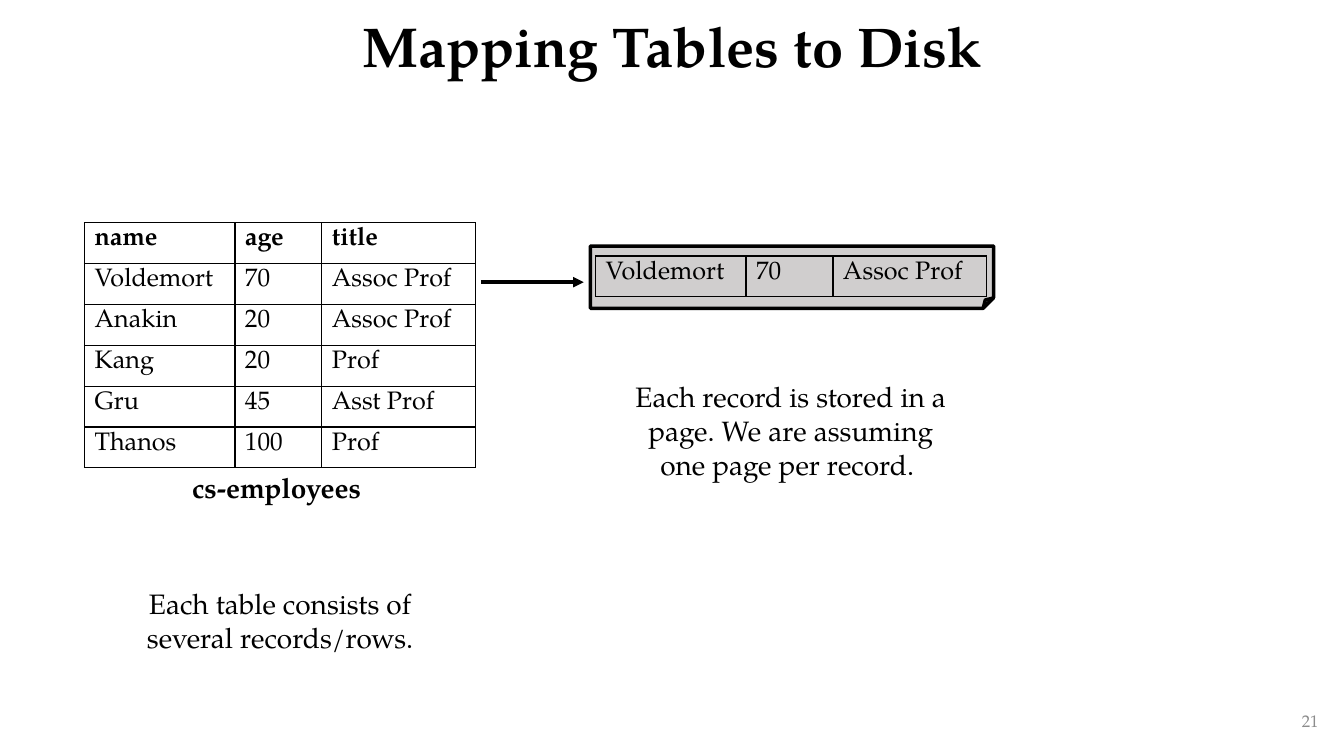
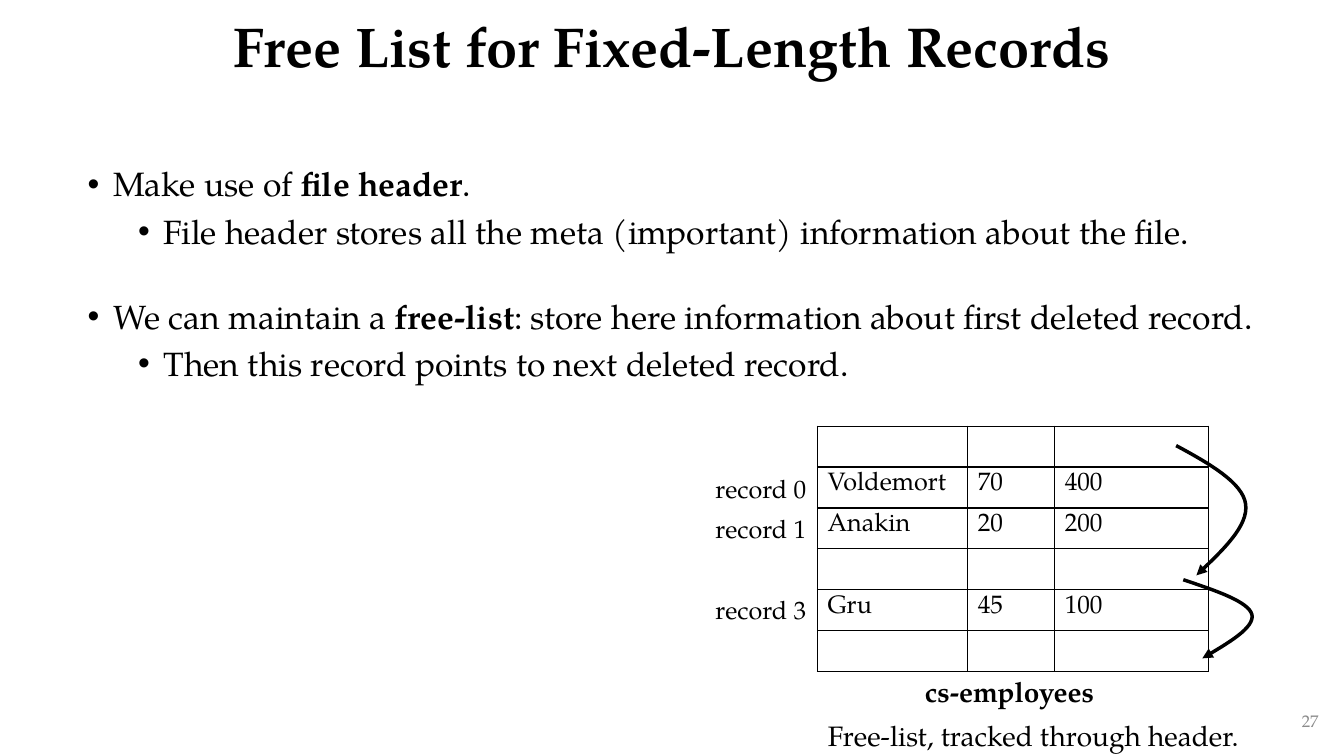
from lxml.etree import SubElement
from pptx import Presentation
from pptx.dml.color import RGBColor
from pptx.enum.shapes import MSO_CONNECTOR as Connector, MSO_SHAPE as Preset
from pptx.enum.text import MSO_ANCHOR as Anchor, PP_ALIGN as Align
from pptx.oxml.ns import qn
from pptx.util import Cm, Pt

FONT = "TeX Gyre Pagella"
COLORS = {"ink": "000000", "page": "D0CECE", "number": "8C8C8C"}
COLUMN_WIDTHS = (3.79, 2.19, 3.87)
ROW_HEIGHT = 1.03
LINE_WIDTH = 2.5
CURVE_STEPS = 16

# Text styles: font size, colour, and the formats of each paragraph and frame
TITLE = {"size": 40, "bold": True,
         "paragraph": {"alignment": Align.CENTER, "line_spacing": 0.9},
         "frame": {"vertical_anchor": Anchor.MIDDLE}}
NUMBER = {"size": 12, "color": "number",
          "paragraph": {"alignment": Align.RIGHT},
          "frame": {"vertical_anchor": Anchor.MIDDLE}}
NOTE = {"size": 20, "paragraph": {"alignment": Align.CENTER}}
CAPTION = {"size": 20, "bold": True}
CELL = {"size": 18}
HEADING_CELL = {"size": 18, "bold": True}
LABEL = {"size": 18, "frame": {"word_wrap": False}}
BULLET = {"size": 24, "paragraph": {"alignment": Align.JUSTIFY}}


def color(name):
    return RGBColor.from_string(COLORS[name])


def set_all(target, values):
    for name, value in values.items():
        setattr(target, name, value)


class Deck:
    """Holds the shared style and the current slide."""

    def __init__(self):
        self.presentation = Presentation()
        set_all(self.presentation,
                {"slide_width": Cm(33.87), "slide_height": Cm(19.05)})
        self.slide = None

    def new_slide(self, title, number):
        self.slide = self.presentation.slides.add_slide(
            self.presentation.slide_layouts[6])
        self.text(title, (2.33, 0, 29.21, 2.51), TITLE)
        self.text(str(number), (25.86, 17.65, 7.62, 1.02), NUMBER)

    def fill_paragraph(self, paragraph, text, style):
        """Add the runs of a paragraph; text between ** marks is bold."""
        set_all(paragraph, style.get("paragraph", {}))
        for index, part in enumerate(text.split("**")):
            run = paragraph.add_run()
            run.text = part
            set_all(run.font, {"name": FONT, "size": Pt(style["size"]),
                               "bold": style.get("bold", index % 2 == 1)})
            run.font.color.rgb = color(style.get("color", "ink"))

    def frame(self, box, style):
        frame = self.slide.shapes.add_textbox(*map(Cm, box)).text_frame
        set_all(frame, {"word_wrap": True, **style.get("frame", {})})
        return frame

    def text(self, text, box, style):
        self.fill_paragraph(self.frame(box, style).paragraphs[0], text, style)

    def bullets(self, items, box):
        """Each item is (level, space before, text)."""
        frame = self.frame(box, BULLET)
        for index, (level, space, text) in enumerate(items):
            paragraph = frame.add_paragraph() if index else frame.paragraphs[0]
            properties = paragraph._p.get_or_add_pPr()
            properties.set("marL", str(Cm(0.64 + 1.27 * level)))
            properties.set("indent", str(-Cm(0.64)))
            SubElement(properties, qn("a:buFont"), typeface="Arial")
            SubElement(properties, qn("a:buChar"), char="•")
            set_all(paragraph, {"level": level, "space_before": Pt(space)})
            self.fill_paragraph(paragraph, text, BULLET)

    def table(self, rows, left, top, heading=False):
        table = self.slide.shapes.add_table(
            len(rows), len(COLUMN_WIDTHS), Cm(left), Cm(top),
            Cm(sum(COLUMN_WIDTHS)), Cm(ROW_HEIGHT * len(rows))).table
        set_all(table, {"first_row": False, "horz_banding": False})
        for column, width in zip(table.columns, COLUMN_WIDTHS):
            column.width = Cm(width)
        for row_index, row in enumerate(rows):
            table.rows[row_index].height = Cm(ROW_HEIGHT)
            style = HEADING_CELL if heading and row_index == 0 else CELL
            for column_index, text in enumerate(row):
                cell = table.cell(row_index, column_index)
                self.fill_paragraph(cell.text_frame.paragraphs[0], text, style)
                self.borders(cell)
                cell.fill.background()

    def borders(self, cell):
        properties = cell._tc.get_or_add_tcPr()
        for side in ("L", "R", "T", "B"):
            line = SubElement(properties, qn(f"a:ln{side}"), w=str(Pt(1)))
            fill = SubElement(line, qn("a:solidFill"))
            SubElement(fill, qn("a:srgbClr"), val=COLORS["ink"])

    def employees(self, rows, left, top, heading=False):
        """A table with its name below."""
        self.table(rows, left, top, heading)
        self.text("cs-employees", (left + 2.46, top + 6.12, 5.1, 1.12), CAPTION)

    def outline(self, shape):
        shape.line.color.rgb = color("ink")
        shape.line.width = Pt(LINE_WIDTH)

    def arrowhead(self, shape):
        line = shape.element.spPr.find(qn("a:ln"))
        SubElement(line, qn("a:tailEnd"), type="triangle")

    def page(self, box):
        shape = self.slide.shapes.add_shape(Preset.FOLDED_CORNER, *map(Cm, box))
        shape.shadow.inherit = False
        shape.fill.solid()
        shape.fill.fore_color.rgb = color("page")
        self.outline(shape)

    def arrow(self, start, end):
        connector = self.slide.shapes.add_connector(
            Connector.STRAIGHT, *map(Cm, start + end))
        self.outline(connector)
        self.arrowhead(connector)
        SubElement(connector.element.spPr, qn("a:effectLst"))

    def curved_arrow(self, start, *segments):
        """Each segment holds two control points and an end point."""
        points = []
        origin = start
        for first, second, end in segments:
            for step in range(1, CURVE_STEPS + 1):
                t = step / CURVE_STEPS
                u = 1 - t
                points.append(tuple(
                    Cm(u**3 * a + 3 * u * u * t * b + 3 * u * t * t * c + t**3 * d)
                    for a, b, c, d in zip(origin, first, second, end)))
            origin = end
        builder = self.slide.shapes.build_freeform(*map(Cm, start))
        builder.add_line_segments(points, close=False)
        shape = builder.convert_to_shape()
        shape.shadow.inherit = False
        shape.fill.background()
        self.outline(shape)
        self.arrowhead(shape)


def mapping_slide(deck):
    deck.new_slide("Mapping Tables to Disk", 21)
    # Table of records
    record = ("Voldemort", "70", "Assoc Prof")
    deck.employees([
        ("name", "age", "title"),
        record,
        ("Anakin", "20", "Assoc Prof"),
        ("Kang", "20", "Prof"),
        ("Gru", "45", "Asst Prof"),
        ("Thanos", "100", "Prof"),
    ], 2.13, 5.61, heading=True)
    deck.text("Each table consists of several records/rows.",
              (3.25, 14.66, 7.62, 1.96), NOTE)
    # Page holding one record
    deck.page((14.88, 6.2, 10.16, 1.57))
    deck.table([record], 15.01, 6.45)
    deck.arrow((12.12, 7.11), (14.71, 7.11))
    deck.text("Each record is stored in a page. We are assuming "
              "one page per record. ", (15.6, 9.45, 8.66, 2.82), NOTE)


def free_list_slide(deck):
    deck.new_slide("Free List for Fixed-Length Records", 27)
    deck.bullets([
        (0, 0, "Make use of **file header**."),
        (1, 5, "File header stores all the meta (important) information "
               "about the file."),
        (0, 32, "We can maintain a **free-list**: store here information "
                "about first deleted record."),
        (1, 5, "Then this record points to next deleted record."),
    ], (1.96, 3.99, 30.1, 13.79))
    # Table with deleted records
    deleted = ("", "", "")
    deck.employees([
        deleted,
        ("Voldemort", "70", "400"),
        ("Anakin", "20", "200"),
        deleted,
        ("Gru", "45", "100"),
        deleted,
    ], 20.6, 10.74)
    for record in (0, 1, 3):
        deck.text(f"record {record}",
                  (17.78, 11.79 + 1.02 * record, 2.84, 1.02), LABEL)
    # Free-list pointers
    deck.curved_arrow((29.64, 11.23),
                      ((30.48, 11.68), (31.32, 12.17), (31.39, 12.7)),
                      ((31.47, 13.26), (30.81, 13.87), (30.15, 14.5)))
    deck.curved_arrow((29.82, 14.61),
                      ((30.63, 14.88), (31.47, 15.16), (31.55, 15.49)),
                      ((31.62, 15.82), (30.96, 16.2), (30.3, 16.59)))
    deck.text("Free-list, tracked through header.",
              (18.44, 17.98, 15.21, 1.12), NOTE)


def main():
    deck = Deck()
    mapping_slide(deck)
    free_list_slide(deck)
    deck.presentation.save("out.pptx")


if __name__ == "__main__":
    main()
